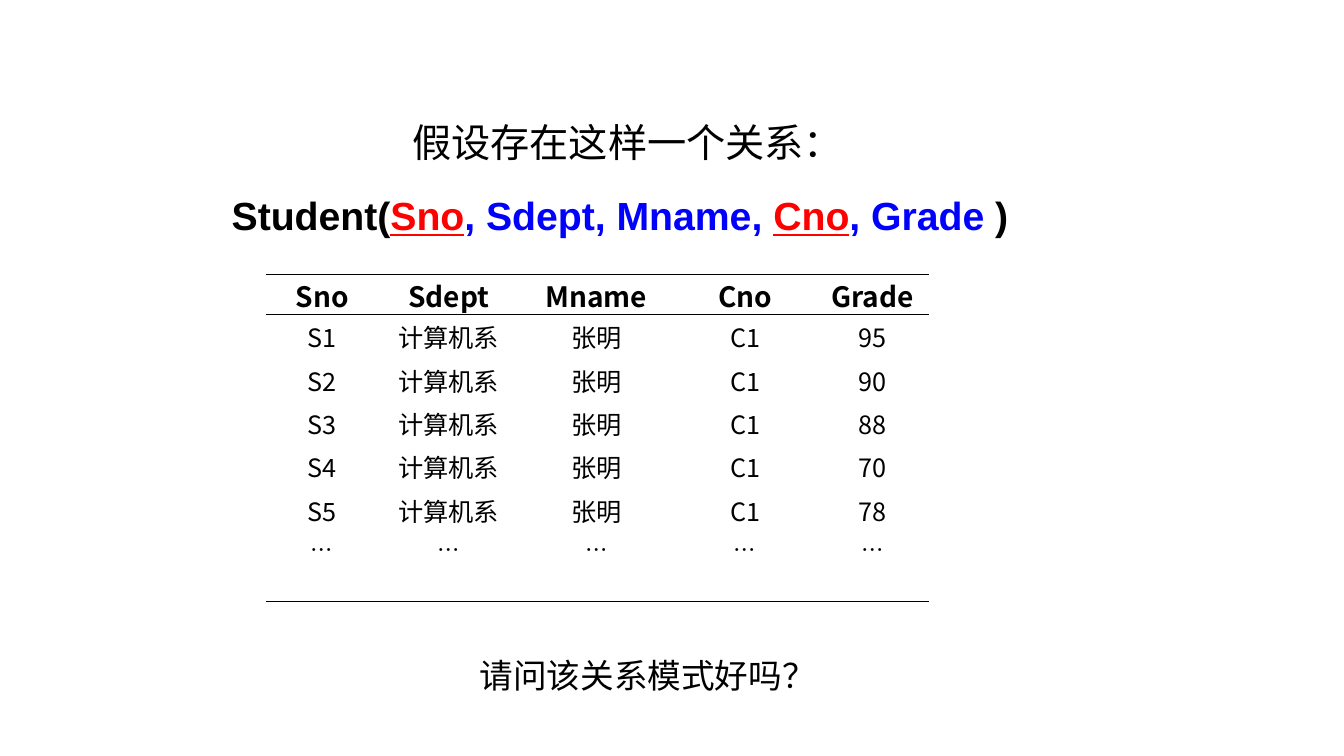
import pptx
import pptx.util
import pptx.dml.color
import pptx.enum.text
import pptx.oxml.ns
import lxml.etree

Inches = pptx.util.Inches
COLORS = {"text": "000000", "key": "FF0000", "attribute": "0000FF"}
CJK_FONT = "Noto Sans CJK SC"
qn = pptx.oxml.ns.qn


def add_run(paragraph, text, color="text", **formats):
    run = paragraph.add_run()
    run.text = text
    for name, value in formats.items():
        setattr(run.font, name, value)
    run.font.color.rgb = pptx.dml.color.RGBColor.from_string(COLORS[color])
    latin = run.font._element.find(qn("a:latin"))
    east_asian = lxml.etree.Element(qn("a:ea"), typeface=CJK_FONT)
    latin.addnext(east_asian)


def add_border(cell, side, visible):
    properties = cell._tc.get_or_add_tcPr()
    line = lxml.etree.SubElement(properties, qn(f"a:ln{side}"), w=str(pptx.util.Pt(0.5)))
    if visible:
        fill = lxml.etree.SubElement(line, qn("a:solidFill"))
        lxml.etree.SubElement(fill, qn("a:srgbClr"), val=COLORS["text"])
    else:
        lxml.etree.SubElement(line, qn("a:noFill"))


presentation = pptx.Presentation()
presentation.slide_width = Inches(13.33)
presentation.slide_height = Inches(7.5)
slide = presentation.slides.add_slide(presentation.slide_layouts[5])

# Sample rows of the relation
header = ["Sno", "Sdept", "Mname", "Cno", "Grade"]
grades = [95, 90, 88, 70, 78]
students = [[f"S{number}", "计算机系", "张明", "C1", str(grade)]
            for number, grade in enumerate(grades, 1)]
records = [header, *students, ["…"] * len(header), [""] * len(header)]
column_widths = [1.11, 1.4, 1.53, 1.42, 1.11]
row_heights = [0.4] + [0.43] * len(students) + [0.3, 0.3]
ellipsis_row = len(records) - 2
last_row = len(records) - 1

relation = slide.shapes.add_table(
    len(records), len(header), Inches(2.64), Inches(2.72),
    Inches(sum(column_widths)), Inches(sum(row_heights))).table
relation.first_row = False
relation.horz_banding = False
for column, width in zip(relation.columns, column_widths):
    column.width = Inches(width)

cell_format = {
    "margin_left": Inches(0.01),
    "margin_right": Inches(0.01),
    "margin_top": Inches(0.01),
    "margin_bottom": 0,
    "vertical_anchor": pptx.enum.text.MSO_ANCHOR.MIDDLE,
}
for row, record in enumerate(records):
    relation.rows[row].height = Inches(row_heights[row])
    size = {0: 20, ellipsis_row: 16}.get(row, 18)
    for column, value in enumerate(record):
        cell = relation.cell(row, column)
        # Rules above and below the header and under the last row
        visible = {"L": False, "R": False, "T": row in (0, 1), "B": row in (0, last_row)}
        for side, shown in visible.items():
            add_border(cell, side, shown)
        cell.fill.background()
        if not value:
            continue
        for name, setting in cell_format.items():
            setattr(cell, name, setting)
        if row == ellipsis_row:
            cell._tc.get_or_add_tcPr().set("vert", "eaVert")
        paragraph = cell.text_frame.paragraphs[0]
        paragraph.alignment = pptx.enum.text.PP_ALIGN.CENTER
        add_run(paragraph, value, name=CJK_FONT, size=pptx.util.Pt(size), bold=row == 0)

# Title, relation schema and closing question
introduction = slide.shapes.title
schema = slide.shapes.add_textbox(0, 0, 0, 0)
question = slide.shapes.add_textbox(0, 0, 0, 0)
places = [
    (introduction, 3.99, 1.12, 4.52, 0.57),
    (schema, 2.2, 1.85, 8, 0.57),
    (question, 4.66, 6.45, 3.57, 0.51),
]
frame_format = {
    "word_wrap": False,
    "auto_size": pptx.enum.text.MSO_AUTO_SIZE.SHAPE_TO_FIT_TEXT,
    "vertical_anchor": pptx.enum.text.MSO_ANCHOR.TOP,
}
for line, *bounds in places:
    for name, length in zip(("left", "top", "width", "height"), bounds):
        setattr(line, name, Inches(length))
    for name, setting in frame_format.items():
        setattr(line.text_frame, name, setting)
    line.text_frame.paragraphs[0].alignment = pptx.enum.text.PP_ALIGN.LEFT

add_run(introduction.text_frame.paragraphs[0], "假设存在这样一个关系：",
        name=CJK_FONT, size=pptx.util.Pt(28))
schema_parts = [
    ("Student(", "text"), ("Sno", "key"), (", Sdept, Mname, ", "attribute"),
    ("Cno", "key"), (", Grade ", "attribute"), (")", "text"),
]
for text, color in schema_parts:
    add_run(schema.text_frame.paragraphs[0], text, color, name="Arial",
            size=pptx.util.Pt(28), bold=True, underline=color == "key")
add_run(question.text_frame.paragraphs[0], "请问该关系模式好吗？",
        name="Arial", size=pptx.util.Pt(24))

presentation.save("out.pptx")
